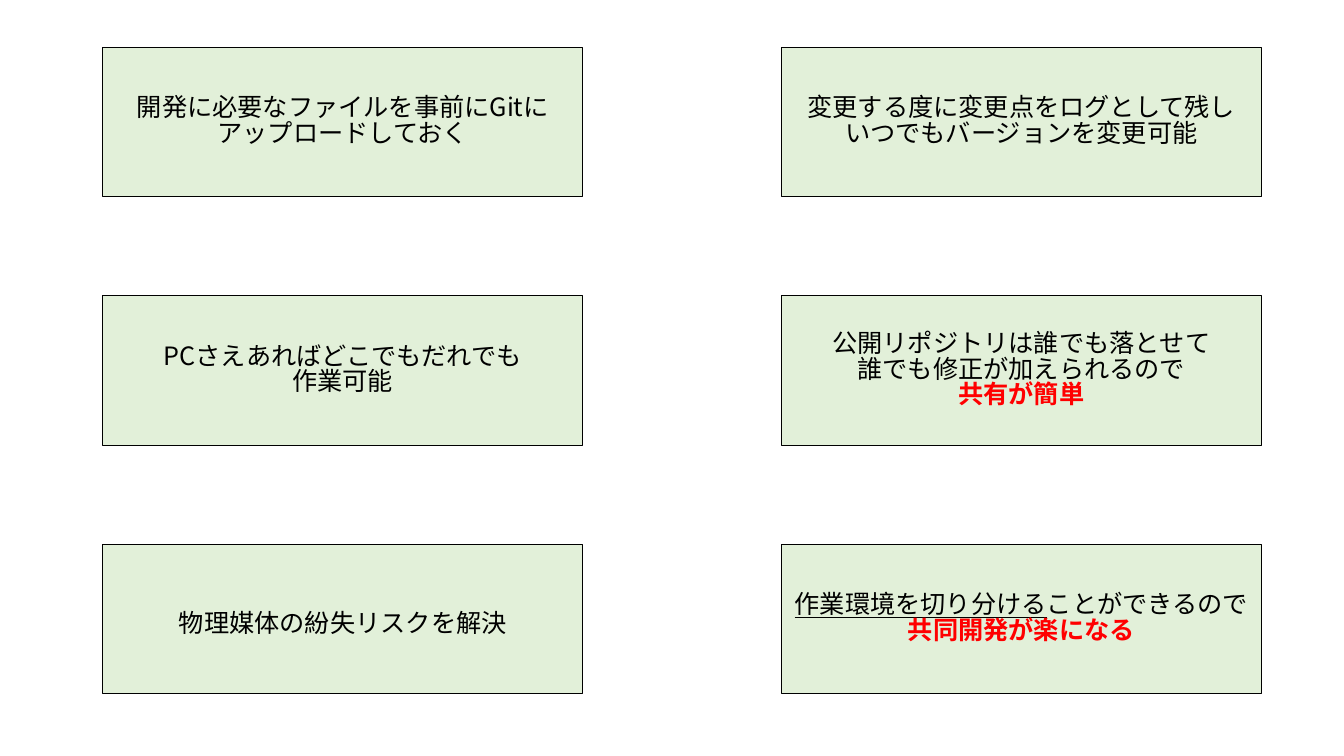
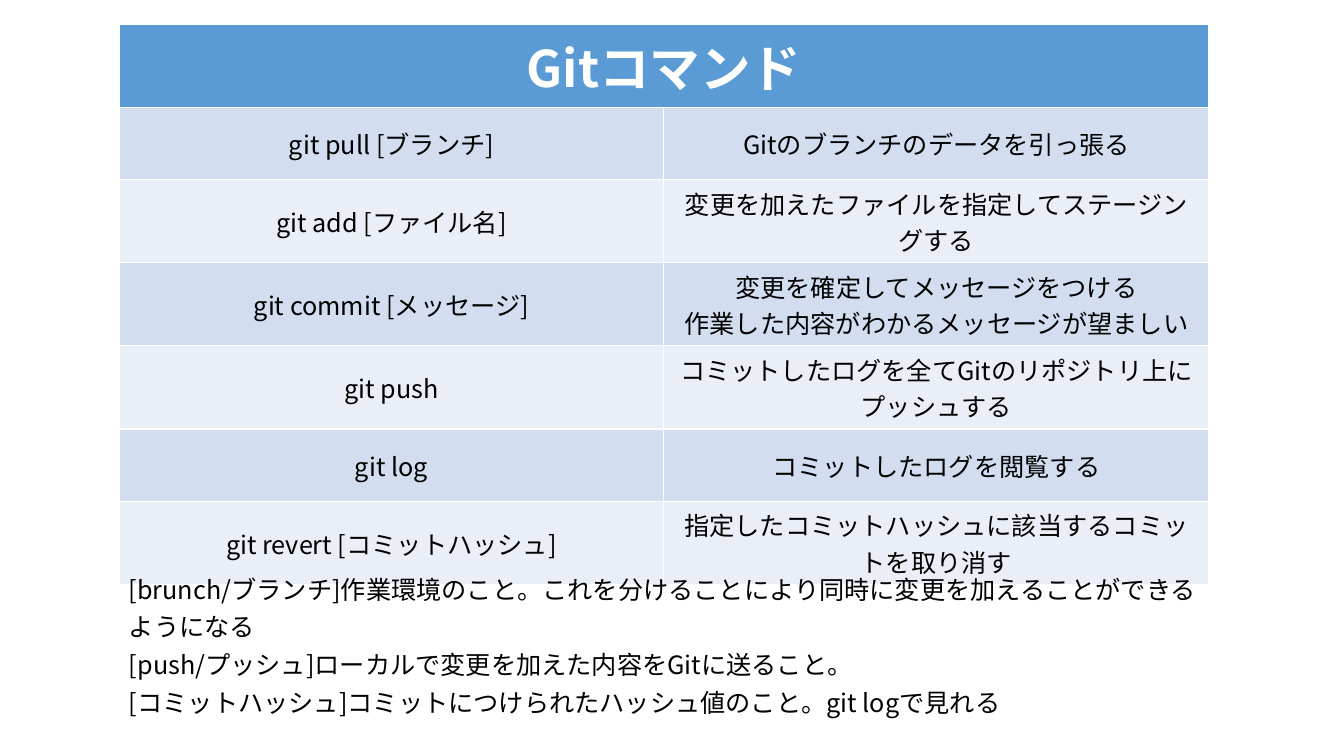
from lxml import etree
from pptx import Presentation
from pptx.dml.color import RGBColor
from pptx.enum.shapes import MSO_SHAPE
from pptx.enum.text import MSO_ANCHOR, MSO_AUTO_SIZE, PP_ALIGN
from pptx.oxml.ns import qn
from pptx.util import Inches, Pt

PROCESS = MSO_SHAPE.FLOWCHART_PROCESS
MIDDLE = MSO_ANCHOR.MIDDLE
CENTER, LEFT = PP_ALIGN.CENTER, PP_ALIGN.LEFT
GROW = MSO_AUTO_SIZE.SHAPE_TO_FIT_TEXT

FONT = "Noto Sans CJK JP"
BLACK, WHITE, RED = "000000", "FFFFFF", "FF0000"
PALE_GREEN, HEADER_BLUE = "E2F0D9", "5B9BD5"
BANDS = ("D2DEEF", "EAEFF7")
BODY_SIZE, HEADER_SIZE = 18, 36
TIGHT, LOOSE = 0.83, 1.25
EMPHASIS = {"color": RED, "bold": True}
UNDERLINED = {"underline": True}

MERITS = [
    [
        [["開発に必要なファイルを事前にGitにアップロードしておく"]],
        [["変更する度に変更点をログとして残し"], ["いつでもバージョンを変更可能"]],
    ],
    [
        [["PCさえあればどこでもだれでも"], ["作業可能"]],
        [["公開リポジトリは誰でも落とせて\n誰でも修正が加えられるので\n", ("共有が簡単", EMPHASIS)]],
    ],
    [
        [["物理媒体の紛失リスクを解決"]],
        [[("作業環境を切り分ける", UNDERLINED), "ことができるので\n", ("共同開発が楽になる", EMPHASIS)]],
    ],
]
LOOSE_MERIT = (2, 0)

COMMANDS = [
    ("git pull [ブランチ]", [["Gitのブランチのデータを引っ張る"]]),
    ("git add [ファイル名]", [["変更を加えたファイルを指定してステージングする"]]),
    ("git commit [メッセージ]",
     [["変更を確定してメッセージをつける"], ["作業した内容がわかるメッセージが望ましい"]]),
    ("git push", [["コミットしたログを全てGitのリポジトリ上にプッシュする"]]),
    ("git log", [["コミットしたログを閲覧する"]]),
    ("git revert [コミットハッシュ]", [["指定したコミットハッシュに該当するコミットを取り消す"]]),
]
GLOSSARY = [
    ["[brunch/ブランチ]作業環境のこと。これを分けることにより同時に変更を加えることができるようになる"],
    ["[push/プッシュ]ローカルで変更を加えた内容をGitに送ること。"],
    ["[コミットハッシュ]コミットにつけられたハッシュ値のこと。git logで見れる"],
]


def rgb(value):
    return RGBColor.from_string(value)


def fill_with(target, color):
    target.fill.solid()
    target.fill.fore_color.rgb = rgb(color)


def add_styled_run(paragraph, text, color=None, bold=None, underline=None):
    for index, line in enumerate(text.split("\n")):
        if index:
            paragraph.add_line_break()
        if line:
            run = paragraph.add_run()
            run.text = line
            run.font.bold = bold
            run.font.underline = underline
            if color:
                run.font.color.rgb = rgb(color)


def style_paragraph(paragraph, size, color, bold, align, spacing):
    paragraph.alignment = align
    paragraph.line_spacing = spacing
    font = paragraph.font
    font.name, font.size, font.bold = FONT, Pt(size), bold
    font.color.rgb = rgb(color)
    defaults = paragraph._p.pPr.find(qn("a:defRPr"))
    etree.SubElement(defaults, qn("a:ea")).set("typeface", FONT)


def write(frame, paragraphs, size=BODY_SIZE, color=BLACK, bold=False, align=CENTER, spacing=None):
    for index, runs in enumerate(paragraphs):
        paragraph = frame.add_paragraph() if index else frame.paragraphs[0]
        style_paragraph(paragraph, size, color, bold, align, spacing)
        for item in runs:
            text, style = (item, {}) if isinstance(item, str) else item
            add_styled_run(paragraph, text, **style)


def add_merit(slide, box, paragraphs, spacing):
    shape = slide.shapes.add_shape(PROCESS, *map(Inches, box))
    shape.shadow.inherit = False
    fill_with(shape, PALE_GREEN)
    shape.line.color.rgb = rgb(BLACK)
    shape.line.width = Pt(0.5)
    shape.text_frame.word_wrap = True
    shape.text_frame.vertical_anchor = MIDDLE
    write(shape.text_frame, paragraphs, spacing=spacing)


def add_merit_grid(slide, box, card_width=4.76, card_height=1.48):
    left, top, width, height = box
    column_step = width - card_width
    row_step = (height - card_height) / (len(MERITS) - 1)
    for row, cards in enumerate(MERITS):
        for column, paragraphs in enumerate(cards):
            place = (left + column * column_step, top + row * row_step, card_width, card_height)
            add_merit(slide, place, paragraphs, LOOSE if (row, column) == LOOSE_MERIT else TIGHT)


def fill_cell(cell, fill, paragraphs, **style):
    fill_with(cell, fill)
    cell.vertical_anchor = MIDDLE
    write(cell.text_frame, paragraphs, **style)


def add_command_table(slide, box):
    table = slide.shapes.add_table(len(COMMANDS) + 1, 2, *map(Inches, box)).table
    table.cell(0, 0).merge(table.cell(0, 1))
    fill_cell(table.cell(0, 0), HEADER_BLUE, [["Gitコマンド"]],
              size=HEADER_SIZE, color=WHITE, bold=True)
    for row, (command, meaning) in enumerate(COMMANDS, start=1):
        band = BANDS[(row - 1) % len(BANDS)]
        fill_cell(table.cell(row, 0), band, [[command]])
        fill_cell(table.cell(row, 1), band, meaning)


def add_glossary(slide, box):
    frame = slide.shapes.add_textbox(*map(Inches, box)).text_frame
    frame.word_wrap = True
    frame.auto_size = GROW
    write(frame, GLOSSARY, align=LEFT, spacing=LOOSE)


presentation = Presentation()
presentation.slide_width, presentation.slide_height = Inches(13.33), Inches(7.5)
blank = presentation.slide_layouts[6]

merits_slide = presentation.slides.add_slide(blank)
add_merit_grid(merits_slide, (1.02, 0.47, 11.49, 6.41))

commands_slide = presentation.slides.add_slide(blank)
add_command_table(commands_slide, (1.18, 0.24, 10.81, 5.04))
add_glossary(commands_slide, (1.18, 5.57, 10.81, 1.4))

presentation.save("out.pptx")
